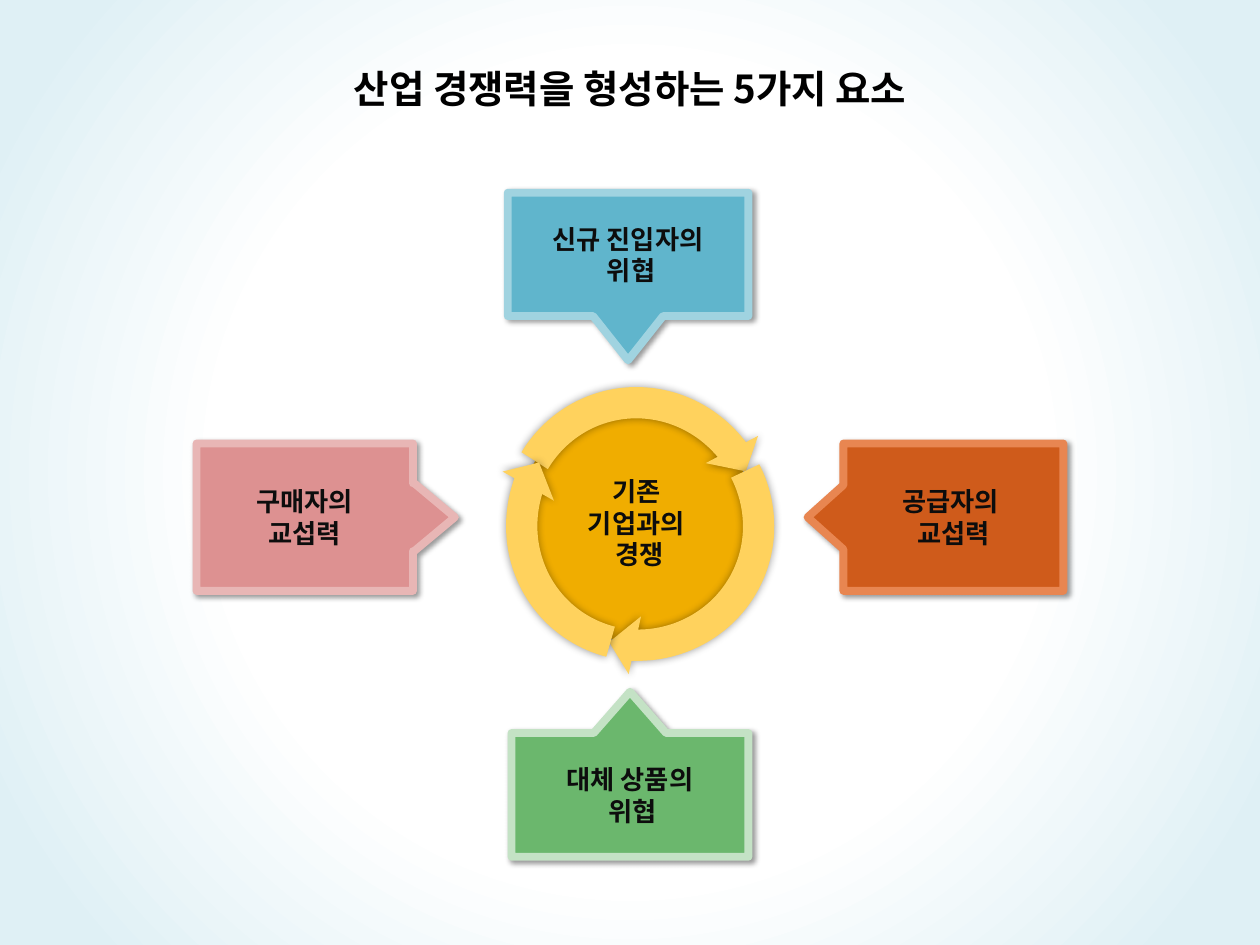
from dataclasses import dataclass

from lxml import etree
from pptx import Presentation
from pptx import util as u
from pptx.dml.color import RGBColor
from pptx.enum import shapes, text
from pptx.oxml.ns import qn

FONT = "Noto Sans CJK KR"
KIND = shapes.MSO_SHAPE


@dataclass
class Shade:
    """Shadow strength in percent, blur and distance in points, angle."""
    alpha: int
    blur: float
    dist: float
    angle: int


@dataclass
class Force:
    """One callout that points at the centre."""
    kind: KIND
    box: tuple
    adj: tuple
    fill: str
    edge: str
    label: str


@dataclass
class Arc:
    """One curved arrow of the ring."""
    left: float
    top: float
    turn: float
    tail: float


FORCES = [
    Force(KIND.RIGHT_ARROW_CALLOUT, (1.56, 3.52, 2.05, 1.17),
          (0.46, 0.23, 0.275, 0.838), "DD9191", "E8B6B5", "구매자의\n교섭력"),
    Force(KIND.DOWN_ARROW_CALLOUT, (4.03, 1.53, 1.91, 1.33),
          (0.418, 0.209, 0.264, 0.736), "60B5CC", "A0D3E0",
          "신규 진입자의\n 위협"),
    Force(KIND.LEFT_ARROW_CALLOUT, (6.41, 3.52, 2.03, 1.17),
          (0.437, 0.218, 0.243, 0.861), "CF5B1B", "E88651",
          "공급자의 \n교섭력"),
    Force(KIND.UP_ARROW_CALLOUT, (4.06, 5.49, 1.88, 1.31),
          (0.5, 0.219, 0.25, 0.75), "6BB76D", "C4E2C5",
          "대체 상품의\n 위협"),
]
ARCS = [Arc(3.87, 2.96, 345, 136.646), Arc(3.84, 2.93, 114.5, 132.093),
        Arc(3.92, 2.92, 222, 146.313)]
CARD = Shade(40, 3, 2, 45)
RING = Shade(40, 5, 0, 0)
CORE = Shade(38, 3.1, 1.6, 90)


def color(code: str) -> RGBColor:
    """Turn a hex string into a colour."""
    return RGBColor.from_string(code)


def node(up, tag: str, **attrs):
    """Add a drawing element with attributes below another."""
    return etree.SubElement(up, qn("a:" + tag),
                            {k: str(v) for k, v in attrs.items()})


def write(frame, parts: list, size: int, code: str) -> None:
    """Fill a text frame with centred bold paragraphs."""
    frame.word_wrap = True
    for i, part in enumerate(parts):
        para = frame.add_paragraph() if i else frame.paragraphs[0]
        para.text = part
        para.alignment = text.PP_ALIGN.CENTER
        for run in para.runs:
            look = {"size": u.Pt(size), "bold": True, "name": FONT}
            for key, value in look.items():
                setattr(run.font, key, value)
            run.font.color.rgb = color(code)
            node(run.font._element, "ea", typeface=FONT)


def draw(slide, kind, box: tuple, fill: str, shade: Shade, adj: tuple = ()):
    """Add a filled shape without an edge, with its shadow."""
    shape = slide.shapes.add_shape(kind, *map(u.Inches, box))
    for i, value in enumerate(adj):
        shape.adjustments[i] = value
    shape.fill.solid()
    shape.fill.fore_color.rgb = color(fill)
    shape.line.fill.background()
    shape.shadow.inherit = False
    cast = node(shape._element.spPr.find(qn("a:effectLst")), "outerShdw",
                blurRad=u.Pt(shade.blur), dist=u.Pt(shade.dist),
                dir=shade.angle * 60000, algn="ctr", rotWithShape=0)
    node(node(cast, "srgbClr", val="000000"), "alpha", val=shade.alpha * 1000)
    return shape


def callout(slide, force: Force) -> None:
    """Draw one callout with its edge and label."""
    shape = draw(slide, force.kind, force.box, force.fill, CARD, force.adj)
    shape.line.width = u.Pt(4.5)
    shape.line.color.rgb = color(force.edge)
    node(shape.line._ln, "round")
    shape.text_frame.vertical_anchor = text.MSO_ANCHOR.MIDDLE
    write(shape.text_frame, [force.label], 15, "0D0D0D")


def arrow(slide, arc: Arc) -> None:
    """Draw one curved arrow of the ring."""
    shape = draw(slide, KIND.CIRCULAR_ARROW, (arc.left, arc.top, 2.39, 2.45),
                 "FFD25D", RING, (0.104, 7.348, 201.182, arc.tail, 0.098))
    shape.rotation = arc.turn


def backdrop(slide) -> None:
    """Paint a round gradient from a white centre to pale blue."""
    fill = slide.background.fill
    fill.solid()
    fill.fore_color.rgb = color("FFFFFF")
    solid = slide._element.cSld.find(".//" + qn("a:solidFill"))
    grad = etree.Element(qn("a:gradFill"), rotWithShape="1")
    stops = node(grad, "gsLst")
    for pos, code in ((52, "FFFFFF"), (91, "DFF0F5")):
        node(node(stops, "gs", pos=pos * 1000), "srgbClr", val=code)
    node(node(grad, "path", path="circle"), "fillToRect",
         l=50000, t=50000, r=50000, b=50000)
    solid.getparent().replace(solid, grad)


def main() -> None:
    """Build and save the slide."""
    deck = Presentation()
    deck.slide_width, deck.slide_height = u.Inches(10), u.Inches(7.5)
    slide = deck.slides.add_slide(deck.slide_layouts[6])
    backdrop(slide)

    core = draw(slide, KIND.OVAL, (4.11, 3.21, 1.88, 1.88), "F0AD00", CORE)
    core.text_frame.vertical_anchor = text.MSO_ANCHOR.MIDDLE
    write(core.text_frame, ["기존", "기업과의\n 경쟁"], 15, "0D0D0D")

    *sides, base = FORCES
    first, *rest = ARCS
    for force in sides:
        callout(slide, force)
    arrow(slide, first)
    callout(slide, base)
    for arc in rest:
        arrow(slide, arc)

    title = slide.shapes.add_textbox(*map(u.Inches, (2.42, 0.47, 5.23, 0.47)))
    title.text_frame.auto_size = text.MSO_AUTO_SIZE.SHAPE_TO_FIT_TEXT
    write(title.text_frame, ["산업 경쟁력을 형성하는 5가지 요소 "], 22, "000000")
    deck.save("out.pptx")


main()
